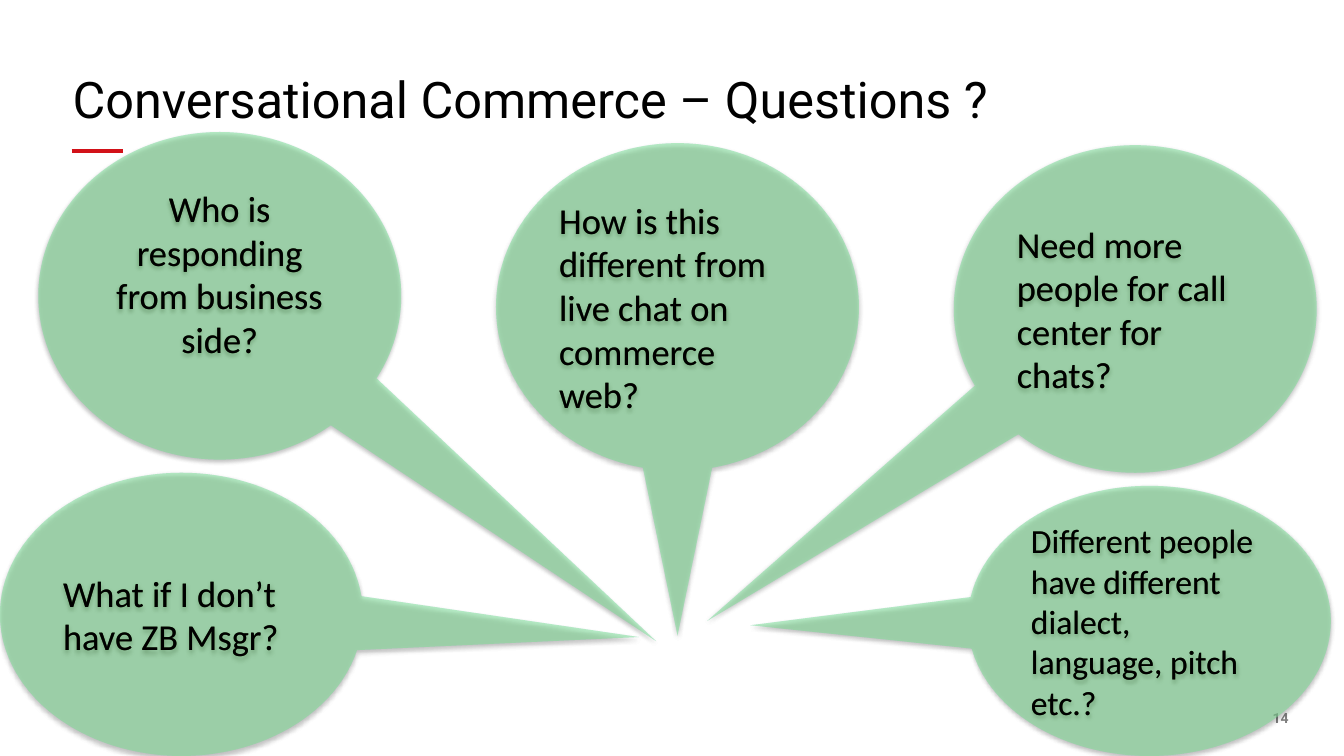
from lxml.etree import SubElement
from pptx import Presentation
from pptx.dml.color import RGBColor
from pptx.enum.shapes import MSO_CONNECTOR, MSO_SHAPE
from pptx.enum.text import MSO_ANCHOR, PP_ALIGN
from pptx.oxml.ns import qn
from pptx.util import Pt

EMU_PER_PX = 9144
BLACK = "000000"
LAYER_COLOURS = ["73C4F3", "97F571"]
OPACITY = 37000
MARGINS = {"margin_left": 10, "margin_top": 5, "margin_right": 10, "margin_bottom": 5}
NO_MARGINS = dict.fromkeys(MARGINS, 0)

# box, pointer tip from the centre, wording, text size, further format values
QUESTIONS = [
    ((38, 131, 360, 325), (1.202, 1.054), "Who is responding from business side?", 26,
     {"alignment": PP_ALIGN.CENTER, "margin_bottom": 49}),
    ((492, 142, 360, 325), (0, 1.003),
     "How is this different from live chat on commerce web?", 26, {}),
    ((946, 144, 360, 325), (-1.179, 0.952),
     "Need more people for call center for chats?", 26, {}),
    ((0, 469, 360, 281), (1.26, 0.08), "What if I don’t have ZB Msgr?", 26, {}),
    ((960, 482, 360, 268), (-1.099, 0.016),
     "Different people have different dialect, language, pitch etc.?", 24, {}),
]


def px(*lengths):
    return [length * EMU_PER_PX for length in lengths]


def colour(value):
    return RGBColor.from_string(value)


def apply(target, values):
    for name, value in values.items():
        setattr(target, name, value)


def add_effect_list(shape_properties):
    return SubElement(shape_properties, qn("a:effectLst"))


def add_soft_shadow(shape):
    effects = add_effect_list(shape._element.spPr)
    shadow = SubElement(effects, qn("a:outerShdw"), blurRad="40000", dist="23000",
                        dir="5400000", rotWithShape="0")
    black = SubElement(shadow, qn("a:srgbClr"), val=BLACK)
    SubElement(black, qn("a:alpha"), val="35000")


def write(frame, text, font, hex_colour, margins, **para_format):
    frame.word_wrap = True
    apply(frame, {side: px(length)[0] for side, length in margins.items()})
    para = frame.paragraphs[0]
    apply(para, para_format)
    span = para.add_run()
    span.text = text
    apply(span.font, font)
    span.font.color.rgb = colour(hex_colour)


def add_label(page, bounds, text, font, hex_colour, **para_format):
    box = page.shapes.add_textbox(*px(*bounds))
    write(box.text_frame, text, font, hex_colour, NO_MARGINS, **para_format)


def add_accent_line(page):
    line = page.shapes.add_connector(MSO_CONNECTOR.STRAIGHT, *px(71, 150, 122, 150))
    line.line.color.rgb = colour("D21118")
    line.line.width = Pt(2.75)
    add_effect_list(line._element.spPr)


def add_callout(page, hex_colour, bounds, tip, text, size, extra):
    """Add a translucent speech bubble holding one question."""
    bubble = page.shapes.add_shape(MSO_SHAPE.OVAL_CALLOUT, *px(*bounds))
    for index, offset in enumerate(tip):
        bubble.adjustments[index] = offset
    bubble.fill.solid()
    bubble.fill.fore_color.rgb = colour(hex_colour)
    tint = bubble._element.spPr.find(".//" + qn("a:srgbClr"))
    SubElement(tint, qn("a:alpha"), val=str(OPACITY))
    bubble.line.fill.background()
    add_soft_shadow(bubble)
    bubble.text_frame.vertical_anchor = MSO_ANCHOR.MIDDLE
    margins = {side: extra.get(side, length) for side, length in MARGINS.items()}
    write(bubble.text_frame, text, {"name": "Calibri", "size": Pt(size)}, BLACK, margins,
          alignment=extra.get("alignment", PP_ALIGN.LEFT))


def main():
    deck = Presentation()
    deck.slide_width, deck.slide_height = px(1333, 750)
    page = deck.slides.add_slide(deck.slide_layouts[6])
    add_label(page, (1233, 704, 45, 17), "14",
              {"name": "Roboto", "size": Pt(10), "bold": True}, "7F7F7F",
              alignment=PP_ALIGN.RIGHT, line_spacing=1.01)
    add_accent_line(page)
    add_label(page, (72, 74, 1200, 57), "Conversational Commerce – Questions ?",
              {"name": "Roboto", "size": Pt(36)}, BLACK, line_spacing=0.9)
    for hex_colour in LAYER_COLOURS:
        for question in QUESTIONS:
            add_callout(page, hex_colour, *question)
    deck.save("out.pptx")


if __name__ == "__main__":
    main()
